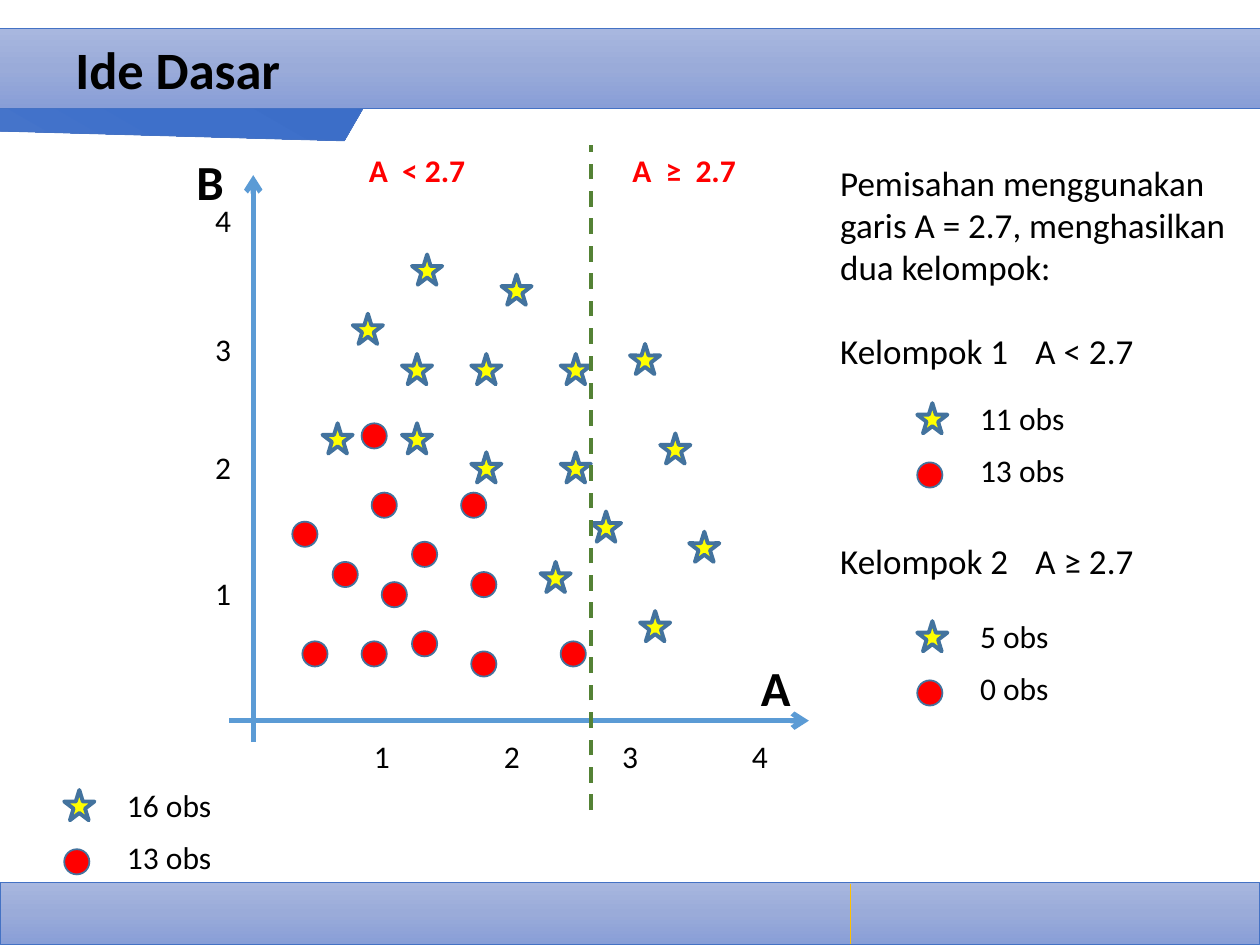
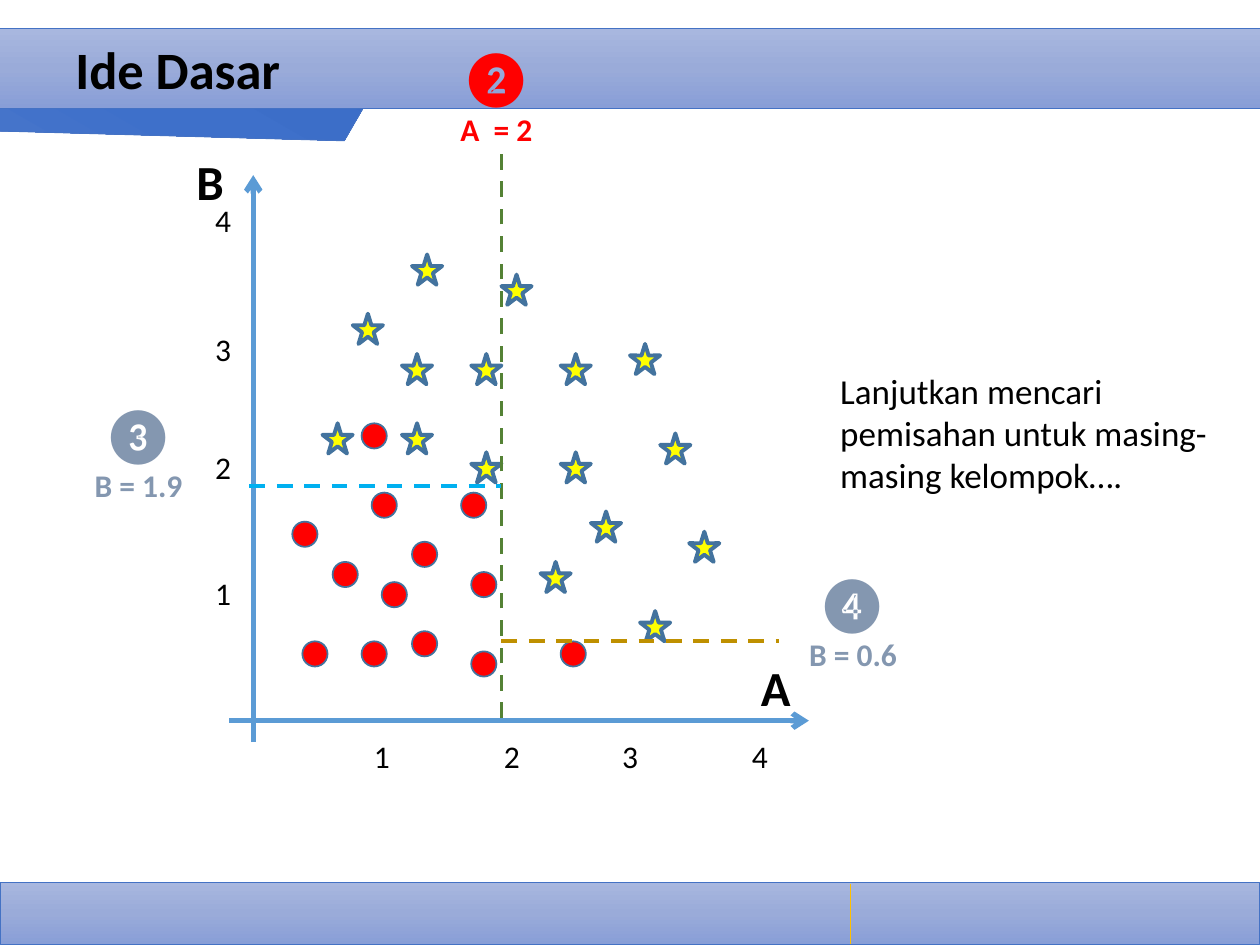
from copy import deepcopy

from lxml import etree
from pptx import Presentation
from pptx.dml.color import RGBColor
from pptx.enum import dml, shapes, text as txt
from pptx.oxml import ns
from pptx.util import Inches, Pt

FONT = "Calibri"
COLORS = {
    "black": "000000", "red": "FF0000", "yellow": "FFFF00",
    "marker_edge": "43739E", "axis": "5B9BD5", "band_edge": "4472C4",
    "footer_tick": "FFC000", "green": "548235", "cyan": "00B0F0",
    "gold": "BF9000", "slate": "8497B0",
}
BAND_GRADIENT = ("A8B7DF", "9AABD9", "889ED7")
STRIPE_GRADIENT = ("6183CB", "3E70CA", "3062BB")

# Marker and tick positions, relative to the plot box
PLOT = (1.46, 1.15)
STARS = [(1.81, 0.87), (1.34, 1.34), (2.28, 1.66), (2.52, 1.03),
         (3.54, 1.58), (2.28, 2.44), (2.99, 1.66), (3.23, 2.91),
         (2.99, 2.44), (3.78, 2.29), (2.83, 3.31), (4.01, 3.07),
         (1.73, 2.21), (1.10, 2.21), (1.73, 1.66), (3.62, 3.70)]
CIRCLES = [(1.49, 2.76), (2.20, 2.76), (1.81, 3.15), (1.18, 3.31),
           (1.81, 3.86), (2.28, 3.39), (1.57, 3.47), (2.99, 3.94),
           (2.28, 4.02), (1.41, 2.21), (0.86, 2.99), (1.41, 3.94),
           (0.94, 3.94)]
A_TICKS = (1.41, 2.44, 3.38, 4.41)
B_TICKS = (3.36, 2.36, 1.42, 0.40)


def rgb(name):
    return RGBColor.from_string(COLORS[name])


def add_text(slide, content, x, y, w, h, size=18, color="black", bold=False,
             align=None, anchor=None, grow=True, tab=None):
    """Content is a string or a list of (string, format overrides) pairs."""
    box = slide.shapes.add_textbox(Inches(x), Inches(y), Inches(w), Inches(h))
    frame = box.text_frame
    frame.word_wrap = True
    if grow:
        frame.auto_size = txt.MSO_AUTO_SIZE.SHAPE_TO_FIT_TEXT
    if anchor:
        frame.vertical_anchor = anchor
    lines = [(content, {})] if isinstance(content, str) else content
    for i, (line, style) in enumerate(lines):
        paragraph = frame.add_paragraph() if i else frame.paragraphs[0]
        paragraph.alignment = align
        if "before" in style:
            paragraph.space_before = Pt(style["before"])
        if tab:
            stops = etree.SubElement(paragraph._p.get_or_add_pPr(), ns.qn("a:tabLst"))
            etree.SubElement(stops, ns.qn("a:tab"), pos=str(Inches(tab)), algn="l")
        run = paragraph.add_run()
        run.text = line
        run.font.name = FONT
        run.font.size = Pt(style.get("size", size))
        run.font.bold = style.get("bold", bold)
        run.font.color.rgb = rgb(color)


def add_preset(slide, kind, x, y, w, h, fill, edge, weight):
    """Fill is a colour name or a tuple of gradient stops, top to bottom."""
    shape = slide.shapes.add_shape(kind, Inches(x), Inches(y), Inches(w), Inches(h))
    shape.shadow.inherit = False
    if isinstance(fill, str):
        shape.fill.solid()
        shape.fill.fore_color.rgb = rgb(fill)
    else:
        shape.fill.gradient()
        shape.fill.gradient_angle = 270
        first = shape.fill.gradient_stops[0]._gs
        first.addnext(deepcopy(first))
        for i, (stop, value) in enumerate(zip(shape.fill.gradient_stops, fill)):
            stop.position = i / (len(fill) - 1)
            stop.color.rgb = RGBColor.from_string(value)
    shape.line.color.rgb = rgb(edge)
    shape.line.width = Pt(weight)
    return shape


def add_line(slide, start, end, color, weight, dashed=False, arrow=False):
    line = slide.shapes.add_connector(
        shapes.MSO_CONNECTOR.STRAIGHT, *(Inches(v) for v in (*start, *end)))
    line.line.color.rgb = rgb(color)
    line.line.width = Pt(weight)
    if dashed:
        line.line.dash_style = dml.MSO_LINE.DASH
    if arrow:
        etree.SubElement(line.line._get_or_add_ln(), ns.qn("a:tailEnd"), type="arrow")
    etree.SubElement(line._element.spPr, ns.qn("a:effectLst"))


def add_star(slide, x, y):
    add_preset(slide, shapes.MSO_SHAPE.STAR_5_POINT, x, y, 0.24, 0.24,
               "yellow", "marker_edge", 2.25)


def add_circle(slide, x, y):
    add_preset(slide, shapes.MSO_SHAPE.FLOWCHART_CONNECTOR, x, y, 0.2, 0.2,
               "red", "marker_edge", 1)


def add_frame(slide, title):
    # Footer band
    rectangle = shapes.MSO_SHAPE.RECTANGLE
    add_preset(slide, rectangle, 0, 7, 10, 0.5, BAND_GRADIENT, "band_edge", 0.5)
    add_line(slide, (6.75, 7.02), (6.75, 7.49), "footer_tick", 1)
    # Header stripe and band
    stripe = add_preset(slide, shapes.MSO_SHAPE.DIAGONAL_STRIPE, -1.84, -0.81,
                        4.61, 2.49, STRIPE_GRADIENT, "band_edge", 0.5)
    stripe.adjustments[0] = 0.718
    stripe.rotation = 210
    add_preset(slide, rectangle, -0.55, 0.23, 10.55, 0.63,
               BAND_GRADIENT, "band_edge", 0.5)
    # Title
    add_text(slide, title, 0.5, -0.08, 9, 1.25, size=30, bold=True, grow=False,
             align=txt.PP_ALIGN.JUSTIFY, anchor=txt.MSO_ANCHOR.MIDDLE)


def add_plot(slide, left, top):
    # Axes
    add_line(slide, (left + 0.55, top + 4.74), (left + 0.55, top + 0.24),
             "axis", 3, arrow=True)
    add_line(slide, (left + 0.36, top + 4.57), (left + 4.96, top + 4.57),
             "axis", 3, arrow=True)
    # Tick labels
    ticks = [(0.15, y) for y in B_TICKS], [(x, 4.65) for x in A_TICKS]
    for axis_ticks in ticks:
        for value, (x, y) in enumerate(axis_ticks, 1):
            add_text(slide, str(value), left + x, top + y, 0.24, 0.4)
    # Observations
    for add_marker, places in ((add_star, STARS), (add_circle, CIRCLES)):
        for x, y in places:
            add_marker(slide, left + x, top + y)
    # Axis names
    for name, x, y in (("B", 0, 0), ("A", 4.48, 4.02)):
        add_text(slide, name, left + x, top + y, 0.47, 0.57, size=28, bold=True)


def add_split(slide, left, top, start, end, color):
    add_line(slide, (left + start[0], top + start[1]),
             (left + end[0], top + end[1]), color, 2.25, dashed=True)


def add_split_label(slide, left, top, rule, color, number=None):
    lines = [(rule, {"bold": True})]
    if number:
        lines.insert(0, (number, {"size": 32}))
    add_text(slide, lines, left, top, 1.18, 0.94 if number else 0.4,
             color=color, align=txt.PP_ALIGN.CENTER)


def add_legend(slide, left, top, star_count, circle_count):
    add_star(slide, left, top + 0.08)
    add_circle(slide, left, top + 0.55)
    for row, count in enumerate((star_count, circle_count)):
        add_text(slide, f"{count} obs", left + 0.4, top + 0.41 * row, 1.1, 0.4)


def build_first_split(slide):
    left, top = PLOT
    add_frame(slide, "Ide Dasar")
    add_legend(slide, 0.51, 6.19, 16, 13)
    # Explanation, with room for a legend under each group
    add_text(slide, [
        ("Pemisahan menggunakan garis A = 2.7, menghasilkan dua kelompok:", {}),
        ("Kelompok 1\tA < 2.7", {"before": 24}),
        ("Kelompok 2\tA ≥ 2.7", {"before": 96}),
    ], 6.57, 1.23, 3.43, 3.8, size=20, tab=1.55)
    add_plot(slide, left, top)
    add_split(slide, left, top, (3.23, 5.28), (3.23, 0), "green")
    add_split_label(slide, left + 1.26, top, "A  < 2.7", "red")
    add_split_label(slide, left + 3.38, top, "A  ≥  2.7", "red")
    add_legend(slide, 7.28, 3.12, 11, 13)
    add_legend(slide, 7.28, 4.85, 5, 0)


def build_next_splits(slide):
    left, top = PLOT
    add_frame(slide, "Ide Dasar")
    add_text(slide, "Lanjutkan mencari pemisahan untuk masing-masing kelompok….",
             6.57, 2.88, 3.15, 1.11, size=20)
    add_plot(slide, left, top)
    # Each split: line ends, line colour, label place, rule, label colour
    splits = [
        ((2.52, 4.55), (2.52, 0.05), "green", (1.89, -0.86), "❷", "A  = 2", "red"),
        ((0.52, 2.71), (2.52, 2.71), "cyan", (-0.95, 1.97), "❸", "B = 1.9", "slate"),
        ((2.52, 3.94), (4.72, 3.94), "gold", (4.72, 3.31), "❹", "B = 0.6", "slate"),
    ]
    for start, end, line_color, (x, y), number, rule, label_color in splits:
        add_split(slide, left, top, start, end, line_color)
        add_split_label(slide, left + x, top + y, rule, label_color, number)


def main():
    deck = Presentation()
    deck.slide_width, deck.slide_height = Inches(10), Inches(7.5)
    for build in (build_first_split, build_next_splits):
        build(deck.slides.add_slide(deck.slide_layouts[6]))
    deck.save("out.pptx")


if __name__ == "__main__":
    main()
